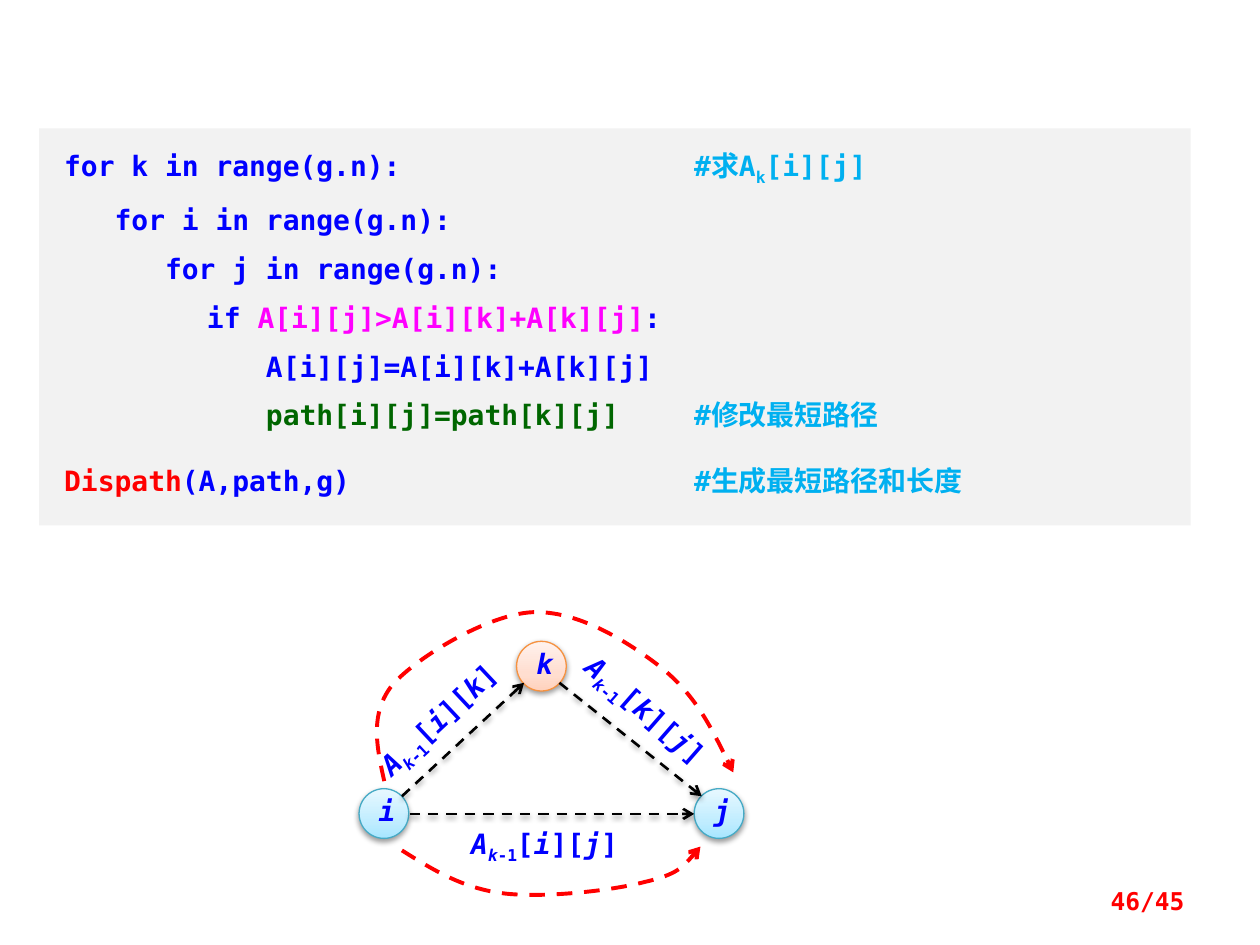
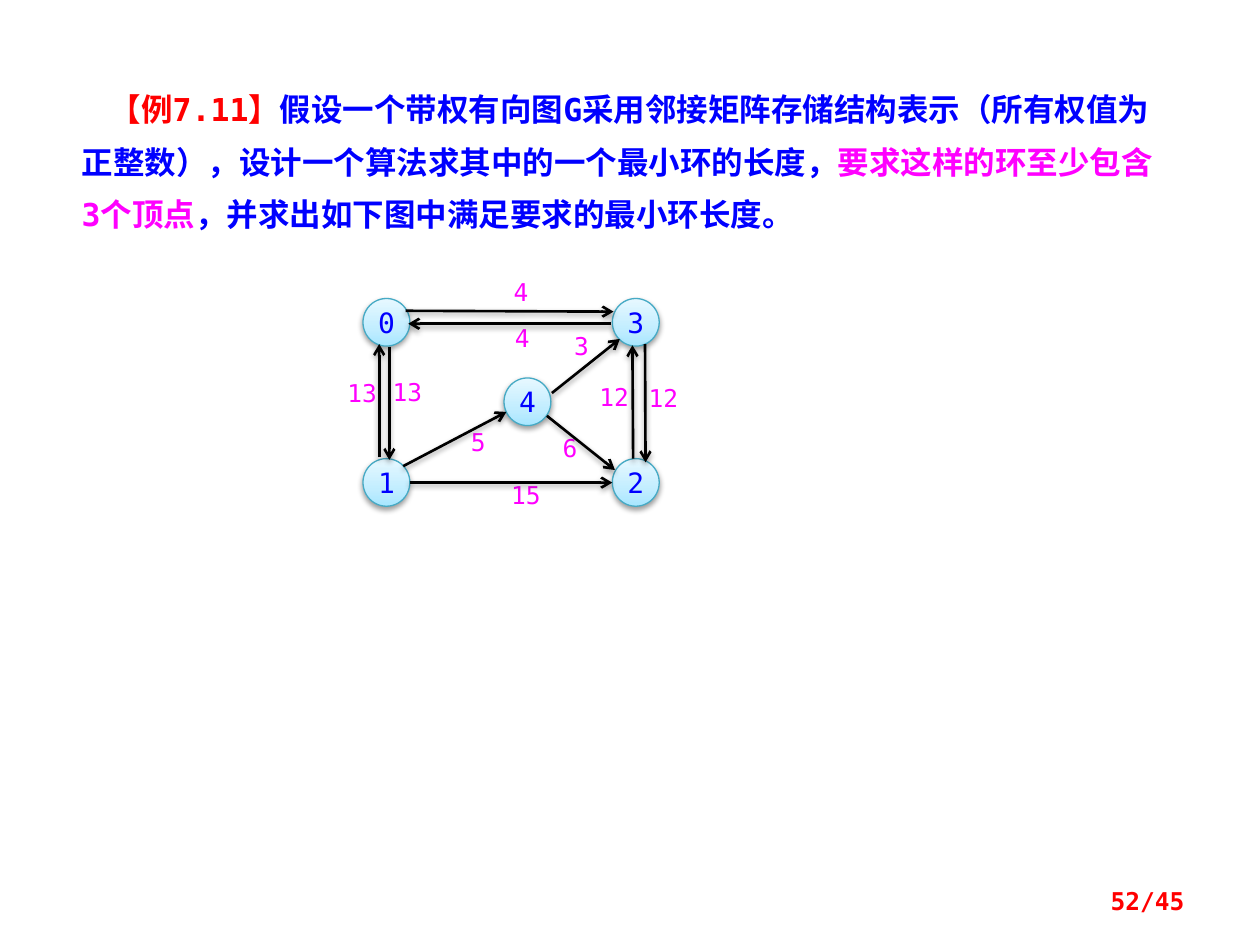
from lxml import etree
from pptx import Presentation
from pptx.dml.color import RGBColor
from pptx.enum import dml, shapes, text
from pptx.oxml.ns import qn
from pptx.util import Pt

FONT = "DejaVu Sans Mono"
BLUE = RGBColor(0x00, 0x00, 0xFF)
RED = RGBColor(0xFF, 0x00, 0x00)
MAGENTA = RGBColor(0xFF, 0x00, 0xFF)
GREEN = RGBColor(0x00, 0x66, 0x00)
SKY = RGBColor(0x00, 0xB0, 0xF0)
BLACK = RGBColor(0x00, 0x00, 0x00)
WHITE = RGBColor(0xFF, 0xFF, 0xFF)
GREY = RGBColor(0xF2, 0xF2, 0xF2)
COOL_LINE = RGBColor(0x46, 0xAA, 0xC5)
WARM_LINE = RGBColor(0xF6, 0x92, 0x40)
COOL = [RGBColor.from_string(c) for c in ("A7E6FF", "C1EDFF", "E7F8FF")]
WARM = [RGBColor.from_string(c) for c in ("FFD2BD", "FFDED0", "FFF2ED")]


def add_runs(p, size, runs, bold=False):
    """Add (text, colour, flags) runs; flag i is italic, s is subscript."""
    for words, color, *flags in runs:
        r = p.add_run()
        r.text = words
        r.font.name, r.font.size, r.font.bold = FONT, Pt(size), bold
        r.font.color.rgb = color
        r.font.italic = "i" in "".join(flags)
        if "s" in "".join(flags):
            r.font._element.set("baseline", "-25000")


def add_effects(sp, shadow=False, arrow=False):
    """Set arrowhead and shadow; call once fill and line are done."""
    props = sp.element.spPr
    if arrow:
        etree.SubElement(props.find(qn("a:ln")), qn("a:tailEnd"), type="arrow")
    effects = etree.SubElement(props, qn("a:effectLst"))
    if shadow:
        outer = etree.SubElement(effects, qn("a:outerShdw"), blurRad="40000",
                                 dist="20000", dir="5400000", rotWithShape="0")
        shade = etree.SubElement(outer, qn("a:srgbClr"), val="000000")
        etree.SubElement(shade, qn("a:alpha"), val="38000")


prs = Presentation()
prs.slide_width, prs.slide_height = Pt(720), Pt(540)
code_slide, example_slide = [prs.slides.add_slide(prs.slide_layouts[6]) for _ in range(2)]

# Page numbers
for s, number in ((code_slide, "46/45"), (example_slide, "52/45")):
    tf = s.shapes.add_textbox(Pt(516.2), Pt(500.4), Pt(167.8), Pt(28.8)).text_frame
    tf.word_wrap = True
    tf.vertical_anchor = text.MSO_ANCHOR.MIDDLE
    p = tf.paragraphs[0]
    p.alignment = text.PP_ALIGN.RIGHT
    add_runs(p, 14, [(number, RED)], bold=True)

# Code panel
sp = code_slide.shapes.add_shape(shapes.MSO_SHAPE.RECTANGLE,
                                 Pt(22.3), Pt(73.4), Pt(658), Pt(226.8))
sp.shadow.inherit = False
sp.fill.solid()
sp.fill.fore_color.rgb = GREY
sp.line.fill.background()
tf = sp.text_frame
tf.word_wrap = True
tf.vertical_anchor = text.MSO_ANCHOR.TOP
tf.margin_left, tf.margin_right = Pt(14.4), Pt(7.2)
tf.margin_top = tf.margin_bottom = Pt(11.5)
code_lines = [
    [("for k in range(g.n):\t", BLUE), ("#求A", SKY), ("k", SKY, "s"), ("[i][j]", SKY)],
    [("   for i in range(g.n):", BLUE)],
    [("      for j in range(g.n):", BLUE)],
    [("      \t if ", BLUE), ("A[i][j]>A[i][k]+A[k][j]", MAGENTA), (":", BLUE)],
    [("            A[i][j]=A[i][k]+A[k][j]", BLUE)],
    [("            path[i][j]=path[k][j]\t", GREEN), ("#修改最短路径", SKY)],
    [("Dispath", RED), ("(A,path,g)\t", BLUE), ("#生成最短路径和长度", SKY)],
]
for n, runs in enumerate(code_lines):
    p = tf.add_paragraph() if n else tf.paragraphs[0]
    p.alignment = text.PP_ALIGN.LEFT
    tabs = etree.SubElement(p._p.get_or_add_pPr(), qn("a:tabLst"))
    # Only the "if" line stops at the first inch; the others jump to the comments.
    stop = 72 if runs[0][0].endswith("if ") else 360
    etree.SubElement(tabs, qn("a:tab"), pos=str(Pt(stop)), algn="l")
    if n:
        p.space_before = Pt(8.8)
    add_runs(p, 16, runs, bold=True)
p.line_spacing = 1.5

# Problem statement
tf = example_slide.shapes.add_textbox(Pt(39.6), Pt(39.6), Pt(635.8), Pt(97.9)).text_frame
tf.word_wrap = True
p = tf.paragraphs[0]
p.line_spacing = Pt(30)
p._p.get_or_add_pPr().set("indent", str(Pt(16)))
add_runs(p, 18, [
    ("【例7.11】", RED),
    ("假设一个带权有向图G采用邻接矩阵存储结构表示（所有权值为正整数），"
     "设计一个算法求其中的一个最小环的长度，", BLUE),
    ("要求这样的环至少包含3个顶点", MAGENTA),
    ("，并求出如下图中满足要求的最小环长度。", BLUE),
], bold=True)

# Edge weights
weights = [("5", 257.8, 244.1), ("15", 285.1, 274.3), ("6", 310.3, 247.7),
           ("3", 316.8, 189.4), ("13", 217.4, 215.3), ("13", 191.5, 216),
           ("4", 283, 184.3), ("4", 282.2, 158.4), ("12", 335.5, 218.2),
           ("12", 363.6, 218.9)]
for weight, x, y in weights:
    sp = example_slide.shapes.add_shape(shapes.MSO_SHAPE.RECTANGLE,
                                        Pt(x), Pt(y), Pt(31), Pt(23))
    sp.shadow.inherit = False
    sp.fill.solid()
    sp.fill.fore_color.rgb = sp.line.color.rgb = WHITE
    sp.line.width = Pt(0.75)
    tf = sp.text_frame
    tf.word_wrap = True
    tf.vertical_anchor = text.MSO_ANCHOR.TOP
    tf.margin_left = tf.margin_right = tf.margin_top = tf.margin_bottom = 0
    tf.paragraphs[0].alignment = text.PP_ALIGN.CENTER
    add_runs(tf.paragraphs[0], 14, [(weight, MAGENTA)])

# Vertices of both graphs
vertices = [(code_slide, "i", 205.2, 450.7), (code_slide, "k", 295.2, 366.5),
            (code_slide, "j", 396.7, 450.7),
            (example_slide, "1", 207.4, 262.1), (example_slide, "4", 288, 216),
            (example_slide, "2", 349.9, 262.1), (example_slide, "0", 207.4, 170.6),
            (example_slide, "3", 349.9, 170.6)]
for s, name, x, y in vertices:
    on_code = s is code_slide
    w, h = (28.4, 28.4) if on_code else (26.8, 27.2)
    sp = s.shapes.add_shape(shapes.MSO_SHAPE.OVAL, Pt(x), Pt(y), Pt(w), Pt(h))
    sp.fill.gradient()
    sp.fill.gradient_angle = 90
    stops = sp.element.spPr.find(".//" + qn("a:gsLst"))
    etree.SubElement(stops, qn("a:gs"), pos="100000")
    for stop, place, color in zip(sp.fill.gradient_stops, (0, 0.35, 1),
                                  WARM if name == "k" else COOL):
        stop.position = place
        stop.color.rgb = color
    sp.line.color.rgb = WARM_LINE if name == "k" else COOL_LINE
    sp.line.width = Pt(0.75)
    add_effects(sp, shadow=True)
    tf = sp.text_frame
    tf.word_wrap = True
    p = tf.paragraphs[0]
    p.alignment = text.PP_ALIGN.CENTER
    if on_code:
        tf.vertical_anchor = text.MSO_ANCHOR.MIDDLE
        p.line_spacing = 0.8
    else:
        tf.vertical_anchor = text.MSO_ANCHOR.TOP
        tf.margin_left = tf.margin_right = tf.margin_top = tf.margin_bottom = 0
    add_runs(p, 16, [(name, BLUE, "i" if on_code else "")], bold=on_code)

# Straight edges of both graphs
code_edges = [(229.7, 455, 299.5, 390.2), (234, 465.1, 396.7, 465.1),
              (319.7, 390.2, 401, 455)]
example_edges = [(222.5, 198, 222.5, 262.8), (216.7, 261.4, 216.7, 196.6),
                 (231.8, 177.6, 350.6, 178.1), (349.2, 185, 233.3, 185),
                 (368.6, 196.6, 368.9, 264.2), (361.8, 262.1, 361.4, 197.3),
                 (234, 275.8, 349.9, 275.8), (315.4, 224.6, 354.2, 193.7),
                 (230.4, 266.4, 289.4, 235.4), (312.5, 237.6, 351.4, 268.6)]
for s, edges in ((code_slide, code_edges), (example_slide, example_edges)):
    for ends in edges:
        c = s.shapes.add_connector(shapes.MSO_CONNECTOR.STRAIGHT, *map(Pt, ends))
        c.line.color.rgb = BLACK
        c.line.width = Pt(1.5)
        if s is code_slide:
            c.line.dash_style = dml.MSO_LINE.DASH
        add_effects(c, shadow=True, arrow=True)

# Curved routes: a start point, then three points for each Bezier segment
routes = [
    [(219.6, 446.4), (215.3, 427), (211, 407.5), (224.6, 391),
     (239, 375.1), (278.6, 351.4), (303.8, 349.9),
     (329.8, 348.5), (358.6, 366.5), (378, 381.6),
     (397.4, 397.4), (408.2, 419), (419, 441.4)],
    [(229.7, 486), (247, 496.8), (264.2, 507.6), (287.3, 510.5),
     (310.3, 513.4), (349.9, 509), (368.6, 504),
     (387.4, 499.7), (393.8, 491.8), (400.3, 483.8)],
]
for start, *points in routes:
    fb = code_slide.shapes.build_freeform(Pt(start[0]), Pt(start[1]))
    fb.add_line_segments([(Pt(x), Pt(y)) for x, y in points], close=False)
    sp = fb.convert_to_shape()
    outline = sp.element.spPr.find(".//" + qn("a:path"))
    lines = outline.findall(qn("a:lnTo"))
    for n in range(0, len(lines), 3):
        curve = etree.SubElement(outline, qn("a:cubicBezTo"))
        for line in lines[n:n + 3]:
            curve.append(line[0])
            outline.remove(line)
    sp.fill.background()
    sp.line.color.rgb = RED
    sp.line.width = Pt(2.25)
    sp.line.dash_style = dml.MSO_LINE.DASH
    add_effects(sp, arrow=True)

# Path lengths beside the edges
for a, b, x, y, angle in (("i", "j", 262.1, 468.7, 0), ("k", "j", 318.2, 397.4, 41.1),
                          ("i", "k", 199.4, 393.1, 316.8)):
    sp = code_slide.shapes.add_textbox(Pt(x), Pt(y), Pt(112.3), Pt(26.6))
    sp.rotation = angle
    sp.text_frame.word_wrap = True
    add_runs(sp.text_frame.paragraphs[0], 16, [
        ("A", BLUE, "i"), ("k", BLUE, "is"), ("-1", BLUE, "s"), ("[", BLUE),
        (a, BLUE, "i"), ("][", BLUE), (b, BLUE, "i"), ("]", BLUE)], bold=True)

prs.save("out.pptx")
